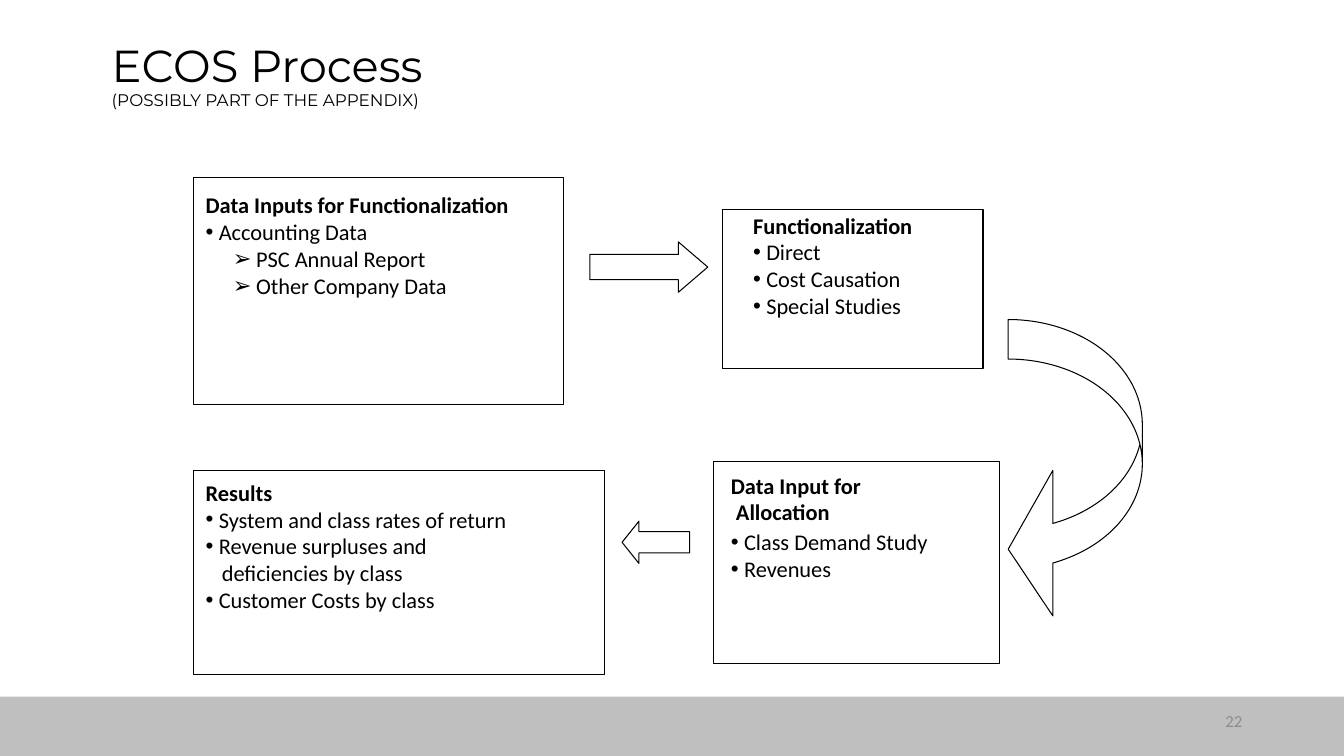
from lxml.etree import SubElement
from pptx import Presentation
from pptx.dml.color import RGBColor
from pptx.enum.shapes import MSO_SHAPE
from pptx.enum.text import MSO_ANCHOR, PP_ALIGN
from pptx.oxml.ns import qn
from pptx.util import Inches, Pt

COLORS = {"ink": "000000", "band": "BFBFBF", "number": "8C8C8C"}
WIDTH, HEIGHT = 13.33, 7.5

# Paragraph styles: left margin and first-line indent in inches, bullet
STYLES = {
    "heading": dict(bold=True),
    "heading_rest": dict(bold=True, margin=0.05),
    "item": dict(margin=0.13, indent=-0.13, bullet="•"),
    "first_item": dict(margin=0.13, indent=-0.13, bullet="•", before=2),
    "item_rest": dict(margin=0.16),
    "subitem": dict(margin=0.5, indent=-0.23, bullet="➢"),
}

# Box, left and top text insets, lines
STAGES = [
    ((1.92, 1.76, 3.67, 2.25), (0.12, 0.14), [
        ("heading", "Data Inputs for Functionalization"),
        ("item", "Accounting Data"),
        ("subitem", "PSC Annual Report"),
        ("subitem", "Other Company Data")]),
    ((7.17, 2.08, 2.58, 1.58), (0.3, 0.02), [
        ("heading", "Functionalization"),
        ("item", "Direct"),
        ("item", "Cost Causation"),
        ("item", "Special Studies")]),
    ((7.08, 4.58, 2.83, 2), (0.17, 0.1), [
        ("heading", "Data Input for"),
        ("heading_rest", "Allocation"),
        ("first_item", "Class Demand Study"),
        ("item", "Revenues")]),
    ((1.92, 4.67, 4.08, 2.02), (0.12, 0.08), [
        ("heading", "Results"),
        ("item", "System and class rates of return"),
        ("item", "Revenue surpluses and"),
        ("item_rest", "deficiencies by class"),
        ("item", "Customer Costs by class")]),
]

ARROWS = [
    (MSO_SHAPE.RIGHT_ARROW, (5.85, 2.4, 1.17, 0.5), (0.5, 0.583)),
    (MSO_SHAPE.CURVED_LEFT_ARROW, (10, 3.17, 1.33, 3), (0.295, 1.085, 0.333)),
    (MSO_SHAPE.LEFT_ARROW, (6.17, 5.17, 0.67, 0.42), (0.5, 0.4)),
]


def rgb(name):
    return RGBColor.from_string(COLORS[name])


def write(paragraph, text, size=16, font="Calibri", color="ink", bold=False,
          align=PP_ALIGN.LEFT, margin=0, indent=0, bullet=None, before=0):
    """Add a formatted run and set the layout of its paragraph."""
    run = paragraph.add_run()
    run.text = text
    run.font.size, run.font.name, run.font.bold = Pt(size), font, bold
    run.font.color.rgb = rgb(color)
    paragraph.alignment = align
    paragraph.space_before = Pt(before)
    properties = paragraph._p.get_or_add_pPr()
    properties.set("marL", str(Inches(margin)))
    properties.set("indent", str(Inches(indent)))
    if bullet:
        SubElement(properties, qn("a:buFont")).set("typeface", "Arial")
        SubElement(properties, qn("a:buChar")).set("char", bullet)


def add_outline(slide, preset, box, fill=None, line="ink"):
    shape = slide.shapes.add_shape(preset, *map(Inches, box))
    shape.shadow.inherit = False
    if fill:
        shape.fill.solid()
        shape.fill.fore_color.rgb = rgb(fill)
    else:
        shape.fill.background()
    if line:
        shape.line.color.rgb = rgb(line)
        shape.line.width = Pt(0.75)
    else:
        shape.line.fill.background()
    return shape


def add_middle_text(slide, box):
    """Return the first paragraph of a vertically centred text box."""
    frame = slide.shapes.add_textbox(*map(Inches, box)).text_frame
    frame.word_wrap = True
    frame.vertical_anchor = MSO_ANCHOR.MIDDLE
    return frame.paragraphs[0]


def add_title(slide, box):
    title = add_middle_text(slide, box)
    title.line_spacing = 0.9
    write(title, "ECOS Process", size=32, font="Montserrat")
    title.add_line_break()
    write(title, "(POSSIBLY PART OF THE APPENDIX)", size=12, font="Montserrat")


def add_footer(slide, box):
    left, top, width, _ = box
    add_outline(slide, MSO_SHAPE.RECTANGLE, box, fill="band", line=None)
    number = add_middle_text(slide, (left + width - 3.91, top + 0.04, 3, 0.4))
    write(number, "22", size=12, color="number", align=PP_ALIGN.RIGHT)


def add_stage(slide, box, insets, lines):
    frame = add_outline(slide, MSO_SHAPE.RECTANGLE, box).text_frame
    frame.word_wrap = True
    frame.vertical_anchor = MSO_ANCHOR.TOP
    frame.margin_left, frame.margin_top = map(Inches, insets)
    frame.margin_right = frame.margin_bottom = 0
    for index, (style, text) in enumerate(lines):
        paragraph = frame.add_paragraph() if index else frame.paragraphs[0]
        write(paragraph, text, **STYLES[style])


def add_arrow(slide, preset, box, proportions):
    arrow = add_outline(slide, preset, box)
    for index, proportion in enumerate(proportions):
        arrow.adjustments[index] = proportion


def main():
    presentation = Presentation()
    presentation.slide_width = Inches(WIDTH)
    presentation.slide_height = Inches(HEIGHT)
    slide = presentation.slides.add_slide(presentation.slide_layouts[6])
    add_footer(slide, (0, 6.91, WIDTH, HEIGHT - 6.91))
    add_title(slide, (1.01, 0.38, 10.29, 0.77))
    for stage in STAGES:
        add_stage(slide, *stage)
    for arrow in ARROWS:
        add_arrow(slide, *arrow)
    presentation.save("out.pptx")


if __name__ == "__main__":
    main()
